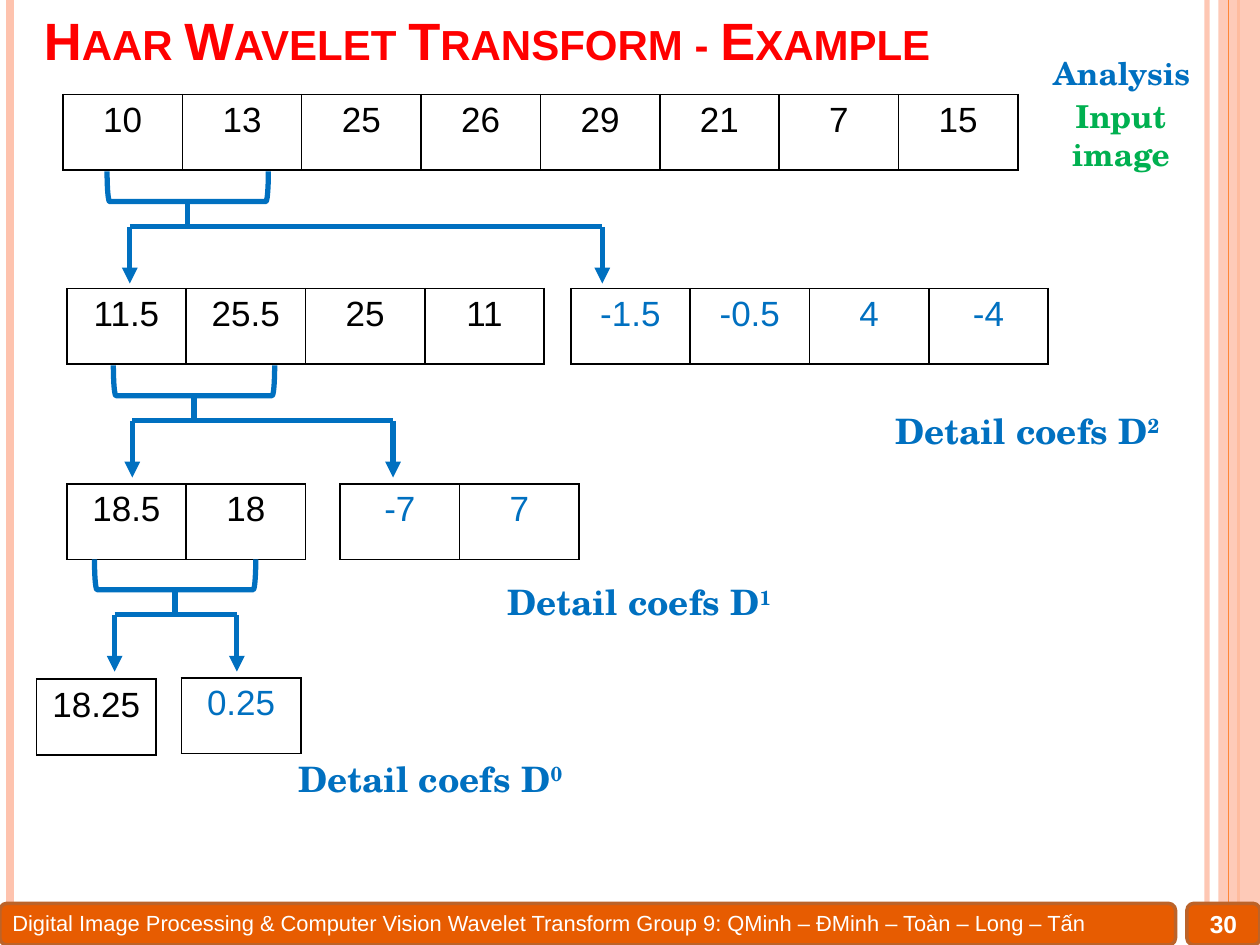
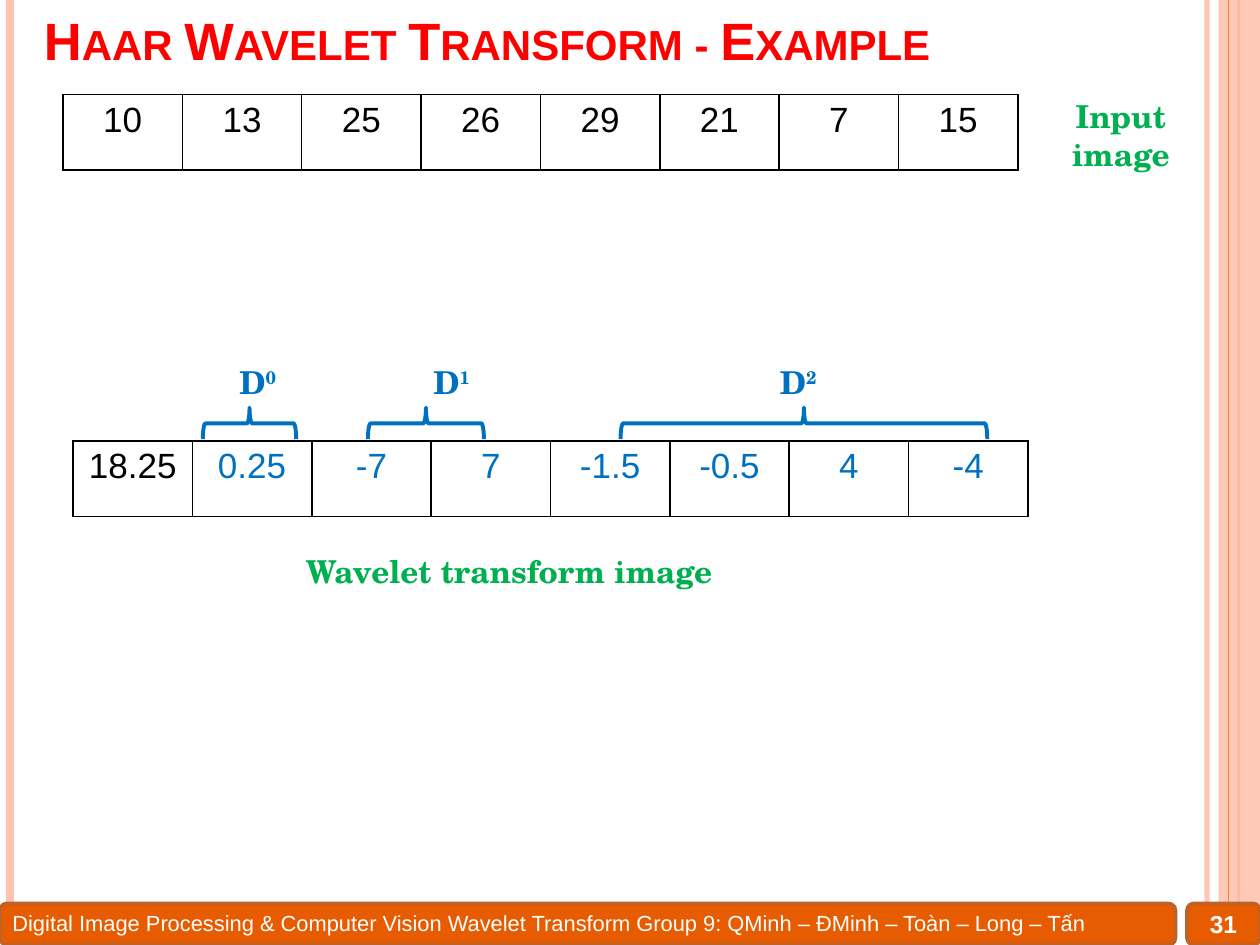
from lxml import etree
from pptx import Presentation, util as u
from pptx.dml.color import RGBColor
from pptx.enum import shapes, text
from pptx.oxml import ns

W, H = 10, 7.5
COL, ROW = 7.58 / 8, 0.6
SANS, SERIF = "Arial", "TeX Gyre Schola"
BLACK, WHITE, RED, BLUE, GREEN = "000000", "FFFFFF", "FF0000", "0070C0", "00B050"
PINK, ORANGE, BAR, BAR_EDGE = "FEC3AE", "FE8637", "E75C01", "BC6329"
TITLE = "Haar Wavelet Transform - Example"
FOOTER = ("Digital Image Processing & Computer Vision Wavelet Transform "
          "Group 9: QMinh – ĐMinh – Toàn – Long – Tấn")
BAR_TOP, BAR_H = 0.956 * H, 0.044 * H
PAGE_LEFT, PAGE_W = 0.942 * W, 0.058 * W
LEFT, CENTER = text.PP_ALIGN.LEFT, text.PP_ALIGN.CENTER
TOP, MIDDLE, BOTTOM = text.MSO_ANCHOR.TOP, text.MSO_ANCHOR.MIDDLE, text.MSO_ANCHOR.BOTTOM
PIXELS = ["10", "13", "25", "26", "29", "21", "7", "15"]
D0, D1, D2 = ["0.25"], ["-7", "7"], ["-1.5", "-0.5", "4", "-4"]


def rgb(color):
    """Turn a hex string into a colour."""
    return RGBColor.from_string(color)


def sub(parent, tag, **attrs):
    """Append a DrawingML element to a parent."""
    return etree.SubElement(parent, ns.qn(tag), attrs)


def fade(parent, percent):
    """Set the opacity of the first colour inside an element."""
    color = next(parent.iter(ns.qn("a:srgbClr")))
    sub(color, "a:alpha", val=str(percent * 1000))


def add_run(p, content, size, color, font=SANS, bold=False, **attrs):
    """Add a formatted run to a paragraph."""
    r = p.add_run()
    r.text = content
    fmt = {"size": u.Pt(size), "name": font, "bold": bold}
    for name, value in fmt.items():
        setattr(r.font, name, value)
    r.font.color.rgb = rgb(color)
    for name, value in attrs.items():
        r.font._element.set(name, value)


def add_text(s, box, content, size, color, font=SERIF, bold=True, align=CENTER,
             anchor=TOP, wrap=True, sup=None, **attrs):
    """Place one paragraph in a box, with an optional superscript."""
    tf = s.shapes.add_textbox(*map(u.Inches, box)).text_frame
    for name, value in {"word_wrap": wrap, "vertical_anchor": anchor}.items():
        setattr(tf, name, value)
    p = tf.paragraphs[0]
    p.alignment = align
    add_run(p, content, size, color, font, bold, **attrs)
    if sup:
        add_run(p, sup, size, color, font, bold, baseline="30000")


def add_line(s, start, end, color=BLUE, width=3, arrow=False):
    """Draw a straight line, optionally ending in an arrowhead."""
    line = s.shapes.add_connector(shapes.MSO_CONNECTOR.STRAIGHT, *map(u.Inches, (*start, *end)))
    line.line.color.rgb = rgb(color)
    line.line.width = u.Pt(width)
    if arrow:
        sub(line.line._get_or_add_ln(), "a:tailEnd", type="triangle")
    sub(line._element.spPr, "a:effectLst")
    return line


def add_shape(s, kind, box, fill=None, line=None, width=1, rotation=0):
    """Draw a preset shape with a plain fill and outline."""
    sp = s.shapes.add_shape(kind, *map(u.Inches, box))
    sp.shadow.inherit = False
    sp.rotation = rotation
    if fill:
        sp.fill.solid()
        sp.fill.fore_color.rgb = rgb(fill)
    else:
        sp.fill.background()
    if line:
        sp.line.color.rgb = rgb(line)
        sp.line.width = u.Pt(width)
    else:
        sp.line.fill.background()
    return sp


def add_bracket(s, kind, center, span, depth, rotation, width):
    """Draw a bracket turned on its side around a centre point."""
    x, y = center
    box = (x - depth / 2, y - span / 2, depth, span)
    add_shape(s, kind, box, line=BLUE, width=width, rotation=rotation)


def add_values(s, left, top, values, colors):
    """Draw a one-row table of values, with one colour per cell."""
    box = map(u.Inches, (left, top, COL * len(values), ROW))
    table = s.shapes.add_table(1, len(values), *box).table
    table.first_row = table.horz_banding = False
    for cell, value, color in zip(table.rows[0].cells, values, colors):
        p = cell.text_frame.paragraphs[0]
        p.alignment = CENTER
        add_run(p, value, 20, color)
        for side in ("a:lnL", "a:lnR", "a:lnT", "a:lnB"):
            ln = sub(cell._tc.get_or_add_tcPr(), side, w=str(u.Pt(1)))
            sub(sub(ln, "a:solidFill"), "a:srgbClr", val=BLACK)
        cell.fill.background()


def add_frame(s, page):
    """Draw the side stripes, footer bars, title and page number."""
    def stripe(x, color, width):
        return add_line(s, (x * W, 0), (x * W, H), color, width)

    fade(stripe(0.958, PINK, 3)._element, 93)
    stripe(0.008, PINK, 4.5)
    stripe(0.983, ORANGE, 1.5)
    band = add_shape(s, shapes.MSO_SHAPE.RECTANGLE, (0.967 * W, 0, 0.033 * W, H), PINK)
    fade(band._element, 87)
    stripe(0.975, ORANGE, 0.75)
    for left, width in ((PAGE_LEFT, PAGE_W), (0, 0.933 * W)):
        add_shape(s, shapes.MSO_SHAPE.ROUNDED_RECTANGLE, (left, BAR_TOP, width, BAR_H),
                  BAR, BAR_EDGE, 2)
    add_text(s, (0, BAR_TOP, PAGE_LEFT, 0.31), FOOTER, 12.5, WHITE, SANS, False, LEFT)
    add_text(s, (0.25, 0.08, 9.25, 0.53), TITLE, 30, RED, SANS,
             align=LEFT, anchor=BOTTOM, cap="small")
    add_text(s, (PAGE_LEFT, BAR_TOP, PAGE_W, 0.32), page, 14, WHITE, SANS, anchor=MIDDLE)


def add_input(s):
    """Show the input pixels and their label."""
    add_values(s, 0.5, 0.75, PIXELS, [BLACK] * len(PIXELS))
    add_text(s, (8.35, 0.72, 1.09, 0.71), "Input image", 18, GREEN)


def add_split(s, row_top, center, targets):
    """Link the first pair of a row to its average and its detail below."""
    bottom = row_top + ROW
    stem, bus, tip = bottom + 0.25, bottom + 0.45, bottom + 0.9
    add_bracket(s, shapes.MSO_SHAPE.LEFT_BRACKET, (center, stem - 0.12), 1.28, 0.24, 270, 3)
    for x in targets:
        add_line(s, (x, bus), (x, tip), arrow=True)
    add_line(s, (targets[0], bus), (targets[1], bus))
    add_line(s, (center, stem), (center, bus))


def build_analysis(s):
    """Show the step by step decomposition."""
    add_input(s)
    averages = [(0.53, 2.29, ["11.5", "25.5", "25", "11"]),
                (0.53, 3.84, ["18.5", "18"]), (0.29, 5.39, ["18.25"])]
    details = [(4.53, 2.29, D2), (2.7, 3.84, D1), (1.44, 5.38, D0)]
    for rows, color in ((averages, BLACK), (details, BLUE)):
        for left, top, values in rows:
            add_values(s, left, top, values, [color] * len(values))
    splits = [(0.75, 1.49, (1.03, 4.78)), (2.29, 1.54, (1.05, 3.12)),
              (3.83, 1.39, (0.91, 1.88))]
    for split in splits:
        add_split(s, *split)
    for left, top, level in ((6.78, 3.2, "2"), (3.7, 4.56, "1"), (2.04, 5.96, "0")):
        add_text(s, (left, top, 2.75, 0.44), "Detail coefs D", 20, BLUE, sup=level)
    add_text(s, (8.26, 0.38, 1.38, 0.4), "Analysis", 18, BLUE, align=LEFT)


def build_result(s):
    """Show the input next to the transformed row with its detail groups."""
    add_input(s)
    details = D0 + D1 + D2
    add_values(s, 0.58, 3.5, ["18.25"] + details, [BLACK] + [BLUE] * len(details))
    add_text(s, (0.83, 4.33, 6.42, 0.4), "Wavelet transform image", 18, GREEN)
    groups = [(1.79, 1.98, 0.74), (3.33, 3.38, 0.92), (6.08, 6.38, 2.91)]
    for level, (label_left, center, span) in enumerate(groups):
        add_text(s, (label_left, 2.83, 0.51, 0.4), "D", 18, BLUE, wrap=False, sup=str(level))
        add_bracket(s, shapes.MSO_SHAPE.LEFT_BRACE, (center, 3.36), span, 0.25, 90, 2.25)


def main():
    """Build and save the presentation."""
    prs = Presentation()
    prs.slide_width, prs.slide_height = u.Inches(W), u.Inches(H)
    for page, build in (("30", build_analysis), ("31", build_result)):
        s = prs.slides.add_slide(prs.slide_layouts[6])
        add_frame(s, page)
        build(s)
    prs.save("out.pptx")


if __name__ == "__main__":
    main()
